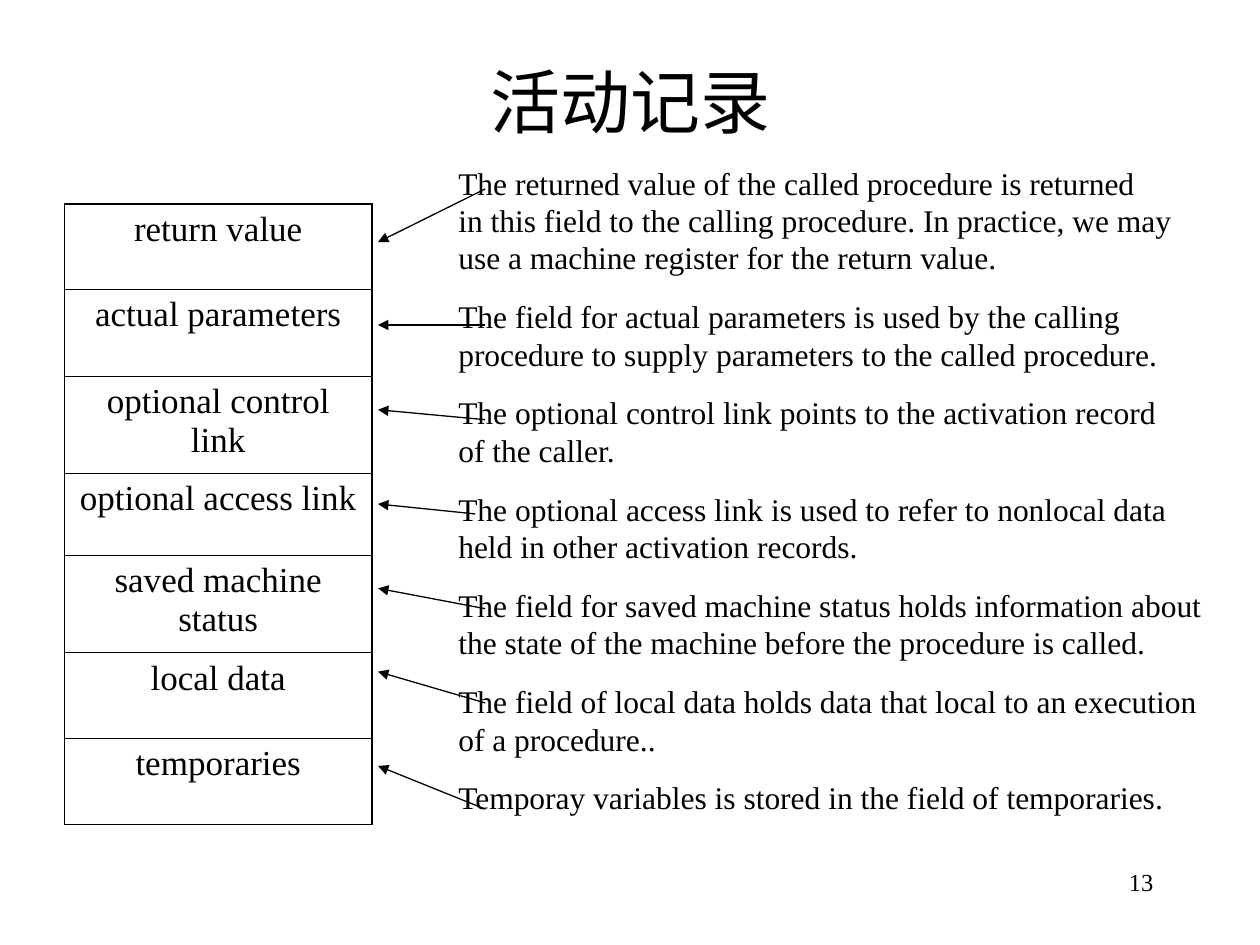
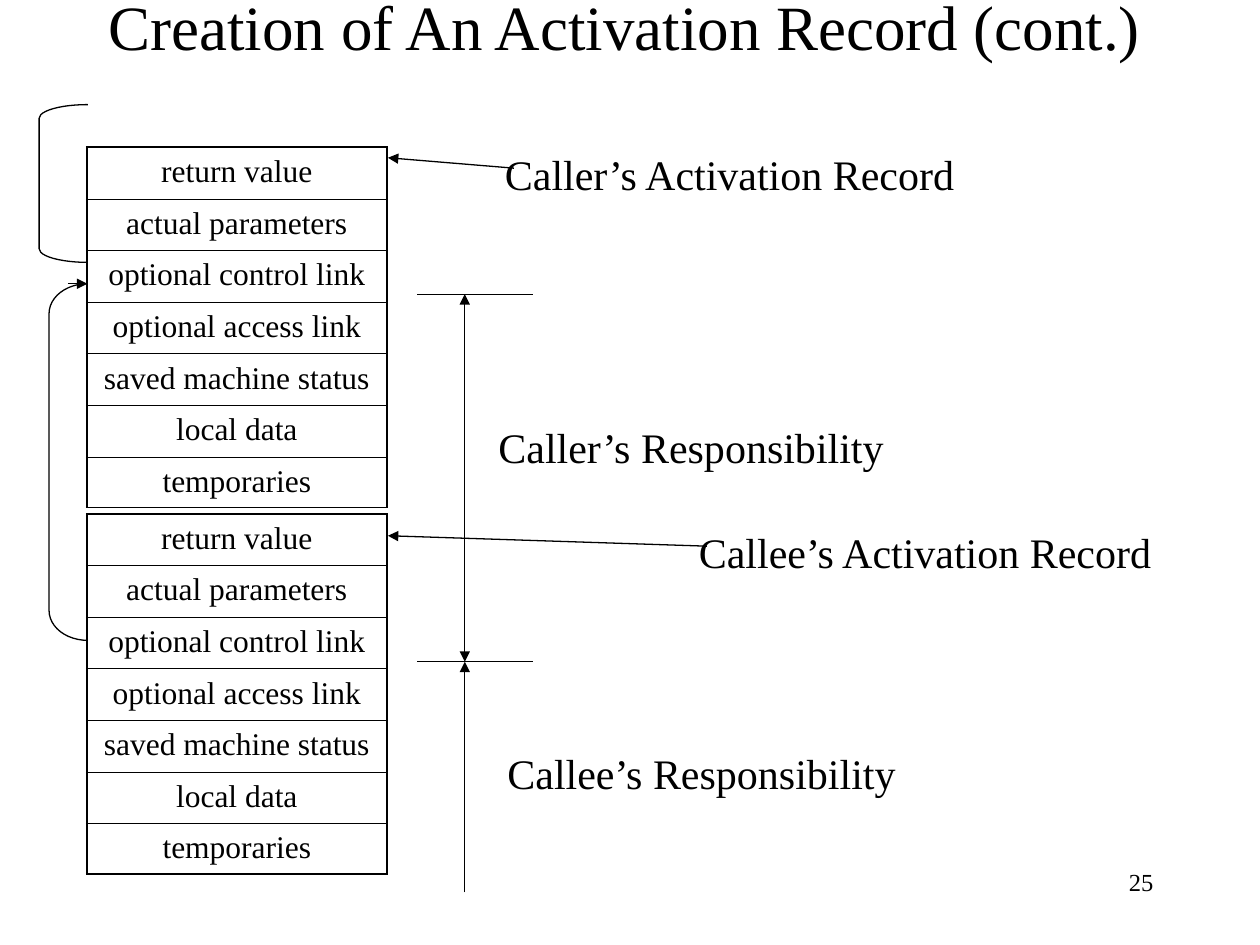
"""Build two slides on the fields of an activation record and how it is created."""
from lxml import etree
from pptx import Presentation
from pptx.dml.color import RGBColor
from pptx.enum.shapes import MSO_CONNECTOR, MSO_SHAPE
from pptx.enum.text import MSO_ANCHOR, MSO_AUTO_SIZE, PP_ALIGN
from pptx.oxml import parse_xml
from pptx.oxml.ns import nsdecls, qn
from pptx.util import Cm, Pt

LINE = MSO_CONNECTOR.STRAIGHT
BRACKET = MSO_SHAPE.LEFT_BRACKET
MIDDLE = MSO_ANCHOR.MIDDLE
FIT, FIXED = MSO_AUTO_SIZE.SHAPE_TO_FIT_TEXT, MSO_AUTO_SIZE.NONE
LEFT, CENTER, RIGHT = PP_ALIGN.LEFT, PP_ALIGN.CENTER, PP_ALIGN.RIGHT
FONT = "Times New Roman"
COLORS = {"ink": "000000", "paper": "FFFFFF"}
INK = RGBColor.from_string(COLORS["ink"])
THICK, THIN, STROKE = 1.08, 0.45, 0.75

FIELDS = ["return value", "actual parameters", "optional control link",
          "optional access link", "saved machine status", "local data",
          "temporaries"]
NOTES = [
    ["The returned value of the called procedure is returned",
     "in this field to the calling procedure. In practice, we may",
     "use a machine register for the return value."],
    ["The field for actual parameters is used by the calling",
     "procedure to supply parameters to the called procedure."],
    ["The optional control link points to the activation record",
     "of the caller."],
    ["The optional access link is used to refer to nonlocal data",
     "held in other activation records."],
    ["The field for saved machine status holds information about",
     "the state of the machine before the procedure is called."],
    ["The field of local data holds data that local to an execution",
     "of a procedure.."],
    ["Temporay variables is stored in the field of temporaries."],
]
TALL = [1.73, 1.75, 1.96, 1.65, 1.96, 1.73, 1.73]
EVEN = [1.04] * 6 + [1.02]
NOTE_Y = [3.81, 6.55, 8.46, 10.36, 12.27, 14.17, 16.31]
FIELD_Y = [4.88, 6.55, 8.26, 10.16, 11.86, 13.54, 15.44]

PAGES = [
    {"title": "活动记录", "size": 40, "box": (1.91, 1.32, 21.59, 1.42),
     "tables": [(1.3, 4.11, 6.2, TALL, 20, 22)],
     "brackets": [],
     "lines": [(9.58 if row == 3 else 9.78, start, 7.62, end, ["tail"])
               for row, (start, end) in enumerate(zip(NOTE_Y, FIELD_Y))],
     "texts": [(8.99, 3.18, 15.65, 13.46, 18, 21.4, NOTES)],
     "number": "13"},
    {"title": "Creation of An Activation Record (cont.)", "size": 36,
     "box": (1.7, 0, 21.79, 1.04),
     "tables": [(1.75, top, 6.05, EVEN, 18, 20.5) for top in (2.97, 10.36)],
     "brackets": [(0.99, 5.72, 0.78, 7.19, 0.77), (0.79, 2.11, 0.98, 3.18, 0.28)],
     "lines": [(1.37, 5.72, 1.76, 5.72, ["tail"]),
               (9.37, 5.93, 9.37, 13.34, ["head", "tail"]),
               (9.37, 17.99, 9.37, 13.34, ["tail"]),
               (8.41, 5.93, 10.74, 5.93, []),
               (8.41, 13.34, 10.74, 13.34, []),
               (14.25, 11.01, 7.82, 10.8, ["tail"]),
               (10.36, 3.39, 7.82, 3.18, ["tail"])],
     "texts": [(x, y, w, 1.27, 24, None, [[words]]) for x, y, w, words in (
         (9.8, 8.38, 8.28, "Caller’s Responsibility"),
         (9.98, 14.94, 8.38, "Callee’s Responsibility"),
         (9.93, 2.87, 9.63, "Caller’s Activation Record"),
         (13.84, 10.49, 9.73, "Callee’s Activation Record"))],
     "number": "25"},
]


def write(para, words, size, align=LEFT, pitch=None):
    para.alignment = align
    if pitch:
        para.line_spacing = Pt(pitch)
    run = para.add_run()
    run.text = words
    run.font.name = FONT
    run.font.size = Pt(size)
    run.font.color.rgb = INK


def edge(cell, place, side, width):
    line = parse_xml(
        f'<a:{side} {nsdecls("a")} w="{Pt(width)}"><a:solidFill>'
        f'<a:srgbClr val="{COLORS["ink"]}"/></a:solidFill></a:{side}>')
    cell._tc.get_or_add_tcPr().insert(place, line)


deck = Presentation()
deck.slide_width, deck.slide_height = Cm(25.4), Cm(19.05)
back = deck.slide_master.background.fill
back.solid()
back.fore_color.rgb = RGBColor.from_string(COLORS["paper"])

for page in PAGES:
    slide = deck.slides.add_slide(deck.slide_layouts[5])
    shapes = slide.shapes

    title = shapes.title
    title.left, title.top, title.width, title.height = map(Cm, page["box"])
    frame = title.text_frame
    frame.auto_size, frame.word_wrap = FIXED, True
    frame.vertical_anchor = MIDDLE
    write(frame.paragraphs[0], page["title"], page["size"], CENTER)

    for x, y, w, heights, size, pitch in page["tables"]:
        table = shapes.add_table(len(FIELDS), 1, Cm(x), Cm(y), Cm(w),
                                 Cm(sum(heights))).table
        table.first_row = table.horz_banding = False
        for row, (field, height) in enumerate(zip(FIELDS, heights)):
            table.rows[row].height = Cm(height)
            cell = table.cell(row, 0)
            cell.fill.background()
            top = THICK if row == 0 else THIN
            low = THICK if row == len(FIELDS) - 1 else THIN
            sides = (("lnL", THICK), ("lnR", THICK), ("lnT", top), ("lnB", low))
            for place, (side, width) in enumerate(sides):
                edge(cell, place, side, width)
            write(cell.text_frame.paragraphs[0], field, size, CENTER, pitch)

    for x, y, w, h, curve in page["brackets"]:
        bracket = shapes.add_shape(BRACKET, Cm(x), Cm(y), Cm(w), Cm(h))
        bracket.adjustments[0] = curve
        bracket.shadow.inherit = False
        bracket.fill.background()
        bracket.line.color.rgb = INK
        bracket.line.width = Pt(STROKE)

    for x1, y1, x2, y2, ends in page["lines"]:
        line = shapes.add_connector(LINE, Cm(x1), Cm(y1), Cm(x2), Cm(y2))
        line.line.color.rgb = INK
        line.line.width = Pt(STROKE)
        stroke = line.line._get_or_add_ln()
        for end in ends:
            etree.SubElement(stroke, qn(f"a:{end}End"), type="triangle")
        etree.SubElement(line._element.spPr, qn("a:effectLst"))

    for x, y, w, h, size, pitch, groups in page["texts"]:
        frame = shapes.add_textbox(Cm(x), Cm(y), Cm(w), Cm(h)).text_frame
        frame.word_wrap, frame.auto_size = False, FIT
        para = frame.paragraphs[0]
        for rank, group in enumerate(groups):
            for count, words in enumerate(group):
                if rank or count:
                    para = frame.add_paragraph()
                if rank and not count:
                    para.space_before = Pt(12.2)
                write(para, words, size, LEFT, pitch)

    number = shapes.add_textbox(Cm(18.2), Cm(17.35), Cm(5.3), Cm(1.27))
    number.text_frame.word_wrap = True
    write(number.text_frame.paragraphs[0], page["number"], 14, RIGHT)

deck.save("out.pptx")
